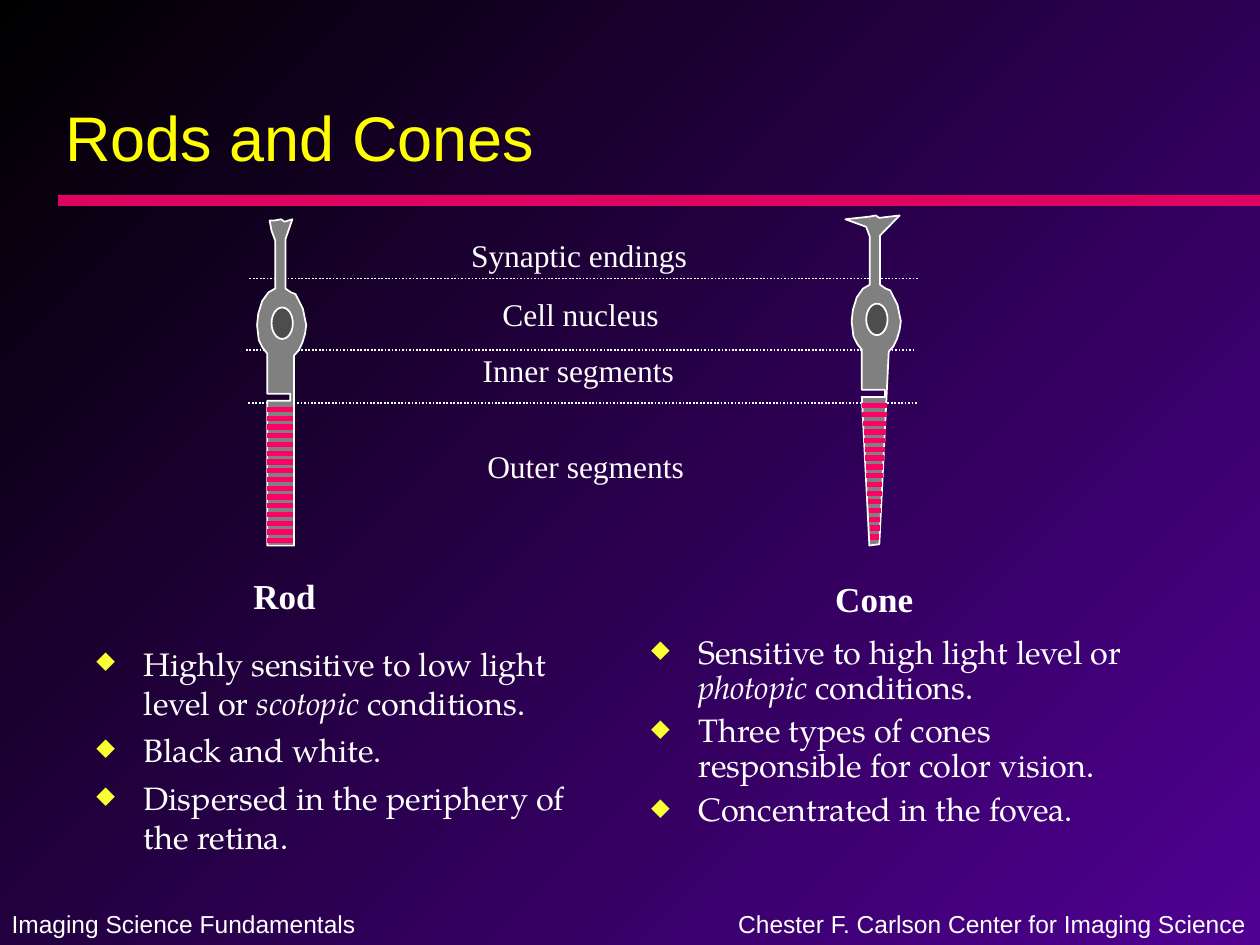
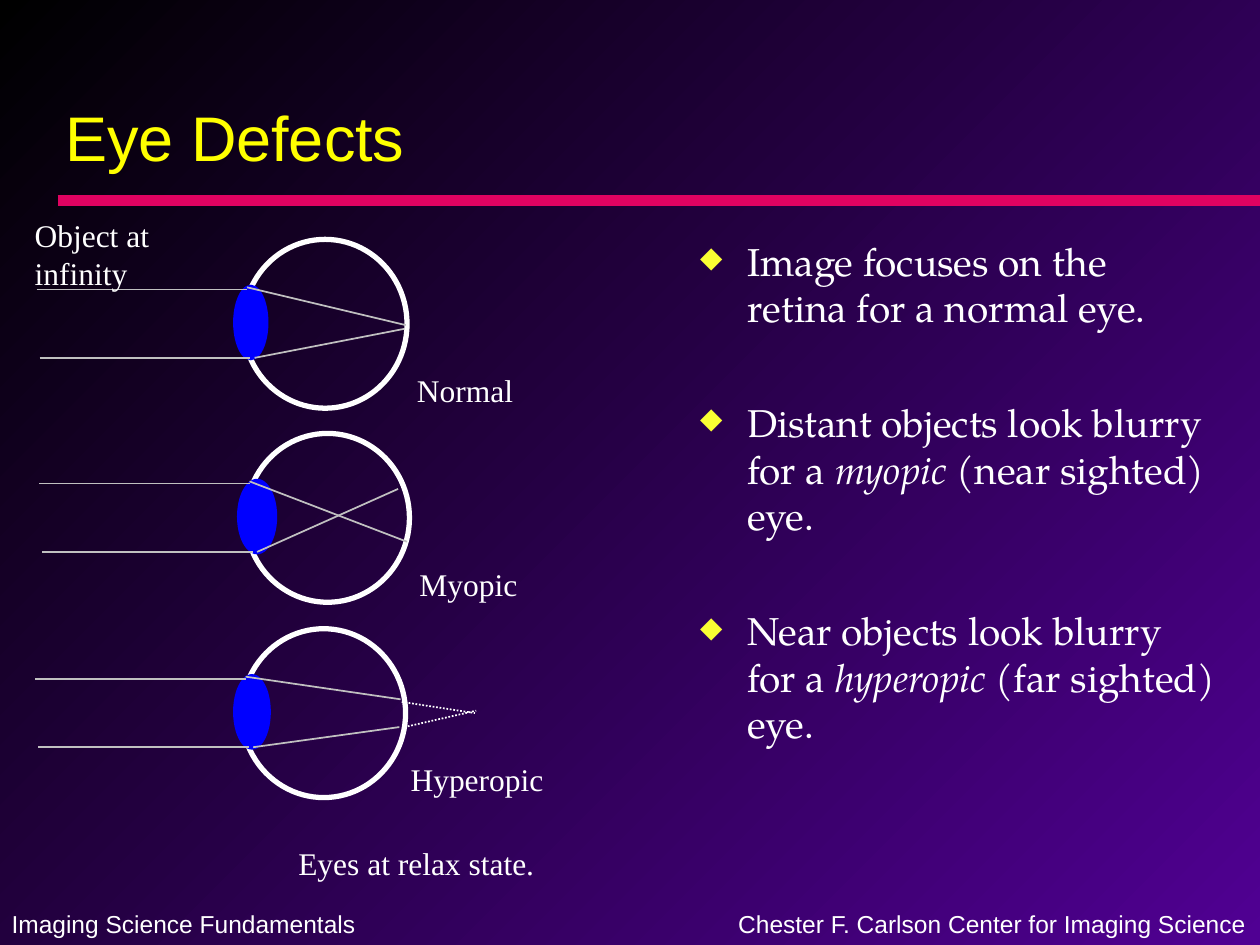
from typing import NamedTuple

from lxml.etree import SubElement
from pptx import Presentation
from pptx.dml.color import RGBColor
from pptx.enum.dml import MSO_LINE
from pptx.enum.shapes import MSO_CONNECTOR, MSO_SHAPE
from pptx.enum.text import MSO_ANCHOR, PP_ALIGN
from pptx.oxml.ns import qn
from pptx.util import Pt

WHITE, YELLOW, BULLET = "FFFFFF", "FFFF00", "FAFF33"
BAND, STRIPE, RAY = "E00261", "FF0066", "C0C0C0"
CELL, NUCLEUS, LENS = "808080", "4D4D4D", "0000FF"
SANS, SERIF, BODY = "Arial", "Times New Roman", "TeX Gyre Pagella"

LEFT_WALL = [(5.8, 103.7), (19, 103.7), (19, 99.7), (5.8, 99.7), (5.8, 76.7),
             (3.2, 73.4), (1, 69.1), (0, 60.5), (0.7, 54), (2.9, 46.8),
             (6.5, 41.8), (10.4, 39.6), (10.4, 12.2), (8.3, 6.5)]
RIGHT_WALL = [(16.2, 11.5), (16.2, 39.6), (19.4, 41.8), (22, 42.8), (26.2, 51.1),
              (28.1, 60.5), (27.4, 65.5), (25.9, 70.6), (23.8, 74.9), (21.2, 77.8)]
ENDING = [(10.1, 0.7), (13.7, 0), (15.8, 1.4)]


class Receptor(NamedTuple):
    """A photoreceptor cell: its place, outer shape and text."""
    name: str
    left: float
    top: float
    ending: list
    tip: list
    taper: float
    name_box: tuple
    facts_box: tuple
    facts: list
    line_spacing: float


class Eye(NamedTuple):
    """An eye: its place, lens and where its rays end."""
    name: str
    left: float
    top: float
    lens_left: float
    lens_width: float
    ray_ends: list
    focus_rays: list
    name_left: float


RECEPTORS = [
    Receptor("Rod", 146.9, 125.3, [(7.2, 0.7), *ENDING, (20.2, 0)],
             [(21.2, 186.5), (5.8, 186.5)], 0,
             (137.7, 324.7, 70, 32), (48, 364.3, 300, 140),
             [["Highly sensitive to low light level or ", "scotopic", " conditions."],
              ["Black and white."],
              ["Dispersed in the periphery of the retina."]], 1.0),
    Receptor("Cone", 486.7, 123.1, [(-3.6, 2.2), *ENDING, (27.4, 0)],
             [(15.8, 187.9), (10.1, 188.6)], 0.32,
             (470.2, 326.2, 80, 32), (365, 360, 300, 140),
             [["Sensitive to high light level or ", "photopic", " conditions."],
              ["Three types of cones responsible for color vision."],
              ["Concentrated in the fovea."]], 0.9),
]
CELL_PARTS = [("Synaptic endings", 262.1, 131.3),
              ("Cell nucleus", 280, 164.9),
              ("Inner segments", 268.7, 197.3),
              ("Outer segments", 271.4, 251.6)]
PART_LIMITS = [(142.5, 159.1), (140.5, 200.2), (142, 230.4)]

EYES = [
    Eye("Normal", 139, 136.8, -5.8, 20.2, [(92.9, 49), (92.2, 51.1)], [], 92.2),
    Eye("Myopic", 140.4, 247.7, -5, 23, [(92.2, 61.9), (87.1, 31.7)], [], 92.2),
    Eye("Hyperopic", 138.2, 359.3, -5, 21.6, [(90.7, 40.3), (90, 56.2)],
        [(91.4, 41.8, 133.2, 48.2), (92.9, 56.2, 133.9, 46.8)], 89.3),
]
EYE_FACTS = [
    ["Image focuses on the retina for a normal eye."],
    ["Distant objects look blurry for a ", "myopic", " (near sighted) eye."],
    ["Near objects look blurry for a ", "hyperopic", " (far sighted) eye."],
]


def rgb(hex_code):
    """Return the colour for a hex string."""
    return RGBColor.from_string(hex_code)


def style_font(font, face, size, color, bold=False):
    """Set face, size, colour and weight of a font."""
    font.name, font.size, font.bold = face, Pt(size), bold
    font.color.rgb = rgb(color)


def paint(shape, fill=None, line=None, width=1):
    """Give a shape its fill and outline, and no shadow."""
    shape.shadow.inherit = False
    if fill:
        shape.fill.solid()
        shape.fill.fore_color.rgb = rgb(fill)
    else:
        shape.fill.background()
    if line:
        shape.line.color.rgb = rgb(line)
        shape.line.width = Pt(width)
    else:
        shape.line.fill.background()


def add_line(slide, ends, color, width=1, dotted=False):
    """Draw a straight line between two points."""
    line = slide.shapes.add_connector(MSO_CONNECTOR.STRAIGHT, *map(Pt, ends))
    line.line.color.rgb = rgb(color)
    line.line.width = Pt(width)
    if dotted:
        line.line.dash_style = MSO_LINE.ROUND_DOT
    SubElement(line._element.spPr, qn("a:effectLst"))


def add_ellipse(slide, box, fill=None, line=None, width=1):
    """Draw an ellipse in a box."""
    ellipse = slide.shapes.add_shape(MSO_SHAPE.OVAL, *map(Pt, box))
    paint(ellipse, fill, line, width)


def add_label(slide, text, box, face=SERIF, size=18, bold=False):
    """Write a white label on unwrapped lines."""
    frame = slide.shapes.add_textbox(*map(Pt, box)).text_frame
    frame.word_wrap = False
    label = frame.paragraphs[0]
    label.text = text
    style_font(label.font, face, size, WHITE, bold)


def add_diamond_bullet(paragraph):
    """Give a paragraph a hanging yellow diamond."""
    props = paragraph._p.get_or_add_pPr()
    props.set("marL", str(Pt(27)))
    props.set("indent", str(-Pt(27)))
    color = SubElement(props, qn("a:buClr"))
    SubElement(color, qn("a:srgbClr"), val=BULLET)
    SubElement(props, qn("a:buSzPct"), val="75000")
    SubElement(props, qn("a:buChar"), char="◆")


def add_facts(slide, facts, box, size, gap, line_spacing=1.0):
    """Write a bulleted list whose second run in each item is italic."""
    frame = slide.shapes.add_textbox(*map(Pt, box)).text_frame
    frame.word_wrap = True
    for index, pieces in enumerate(facts):
        item = frame.add_paragraph() if index else frame.paragraphs[0]
        add_diamond_bullet(item)
        item.space_before = Pt(gap if index else 0)
        item.line_spacing = line_spacing
        style_font(item.font, BODY, size, WHITE)
        for position, piece in enumerate(pieces):
            run = item.add_run()
            run.text = piece
            if position == 1:
                run.font.italic = True


def add_base_slide(deck, heading):
    """Add a slide with its title, band and footers."""
    slide = deck.slides.add_slide(deck.slide_layouts[5])
    add_line(slide, (33, 114.5, 720, 114.5), BAND, 6)
    add_label(slide, "Imaging Science Fundamentals", (-0.5, 516.2, 220, 24.5), SANS, 14)
    add_label(slide, "Chester F. Carlson Center for Imaging Science",
              (414.7, 516.2, 306, 24.5), SANS, 14)
    title = slide.shapes.title
    title.left, title.top, title.width, title.height = map(Pt, (30, 48, 636, 60))
    title.text_frame.vertical_anchor = MSO_ANCHOR.MIDDLE
    line = title.text_frame.paragraphs[0]
    line.text = heading
    line.alignment = PP_ALIGN.LEFT
    style_font(line.font, SANS, 36, YELLOW)
    return slide


def add_receptor(slide, receptor):
    """Draw one photoreceptor with its name and facts."""
    left, top = receptor.left, receptor.top
    outline = [(Pt(left + x), Pt(top + y)) for x, y in
               LEFT_WALL + receptor.ending + RIGHT_WALL + receptor.tip]
    builder = slide.shapes.build_freeform(*outline[-1], scale=1.0)
    builder.add_line_segments(outline[:-1], close=True)
    paint(builder.convert_to_shape(), CELL, WHITE)
    for index in range(16):
        y = top + 108.7 + 5 * index
        inset = receptor.taper * index
        add_line(slide, (left + 5.8 + inset, y, left + 20.4 - inset, y), STRIPE, 3)
    add_ellipse(slide, (left + 8.3, top + 50.4, 12.2, 18), NUCLEUS, WHITE)
    add_label(slide, receptor.name, receptor.name_box, size=20, bold=True)
    add_facts(slide, receptor.facts, receptor.facts_box, 18.5, 5, receptor.line_spacing)


def add_eye(slide, eye):
    """Draw one eye with its lens, rays and name."""
    def ray(ends, color=RAY, dotted=False):
        x1, y1, x2, y2 = ends
        add_line(slide, (eye.left + x1, eye.top + y1, eye.left + x2, eye.top + y2),
                 color, dotted=dotted)

    add_ellipse(slide, (eye.left, eye.top, 93.6, 96.5), line=WHITE, width=3)
    add_ellipse(slide, (eye.left + eye.lens_left, eye.top + 25.9, eye.lens_width, 43.2), LENS)
    upper_end, lower_end = eye.ray_ends
    ray((-118, 28.6, 2.2, 28.6))
    ray((2.2, 27.4, *upper_end))
    ray((6.5, 67.7, *lower_end))
    ray((-116.3, 67.7, 4, 67.7))
    for ends in eye.focus_rays:
        ray(ends, WHITE, dotted=True)
    add_label(slide, eye.name, (eye.left + eye.name_left, eye.top + 71.5, 110, 29))


def build_receptor_slide(deck):
    """Build the slide on rods and cones."""
    slide = add_base_slide(deck, "Rods and Cones")
    for left, y in PART_LIMITS:
        add_line(slide, (left, y, left + 382, y), WHITE, dotted=True)
    for part, left, top in CELL_PARTS:
        add_label(slide, part, (left, top, 160, 29))
    for receptor in RECEPTORS:
        add_receptor(slide, receptor)


def build_defect_slide(deck):
    """Build the slide on eye defects."""
    slide = add_base_slide(deck, "Eye Defects")
    add_facts(slide, EYE_FACTS, (393, 132, 309, 324), 22.2, 39)
    for eye in EYES:
        add_eye(slide, eye)
    add_label(slide, "Object at\vinfinity", (12.7, 119.8, 110, 50))
    add_label(slide, "Eyes at relax state.", (163.4, 478.8, 180, 29))


def main():
    """Build and save the deck."""
    deck = Presentation()
    deck.slide_width, deck.slide_height = Pt(720), Pt(540)
    backdrop = deck.slide_master.background.fill
    backdrop.gradient()
    backdrop.gradient_angle = 315
    for stop, color in zip(backdrop.gradient_stops, ("000000", "500093")):
        stop.color.rgb = rgb(color)
    build_receptor_slide(deck)
    build_defect_slide(deck)
    deck.save("out.pptx")


if __name__ == "__main__":
    main()
